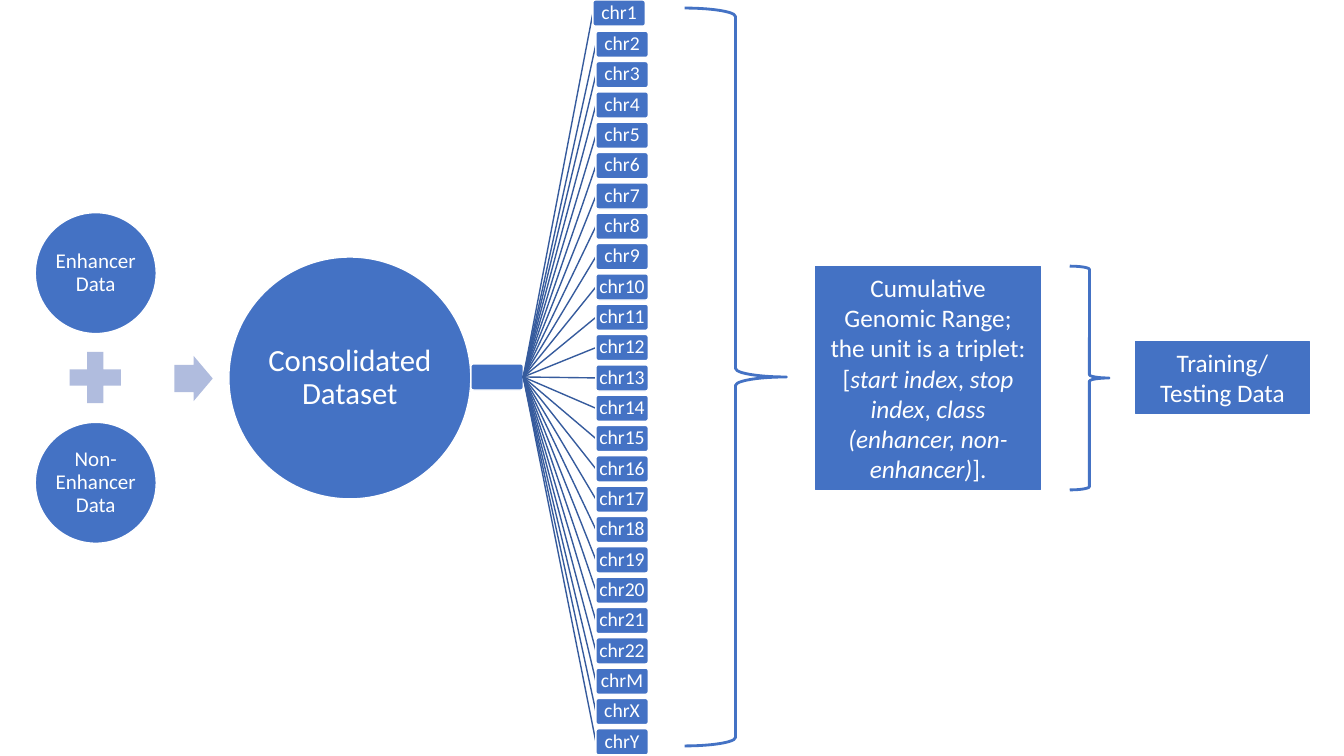
from lxml import etree
from pptx import Presentation
from pptx.dml.color import RGBColor
from pptx.enum.shapes import MSO_CONNECTOR, MSO_SHAPE
from pptx.enum.text import MSO_ANCHOR, MSO_AUTO_SIZE, PP_ALIGN
from pptx.oxml.ns import qn
from pptx.util import Inches, Pt

BLUE = RGBColor(0x44, 0x72, 0xC4)
DARK_BLUE = RGBColor(0x36, 0x5B, 0x9D)
PALE_BLUE = RGBColor(0xB0, 0xBC, 0xDE)
WHITE = RGBColor(0xFF, 0xFF, 0xFF)

OVAL = MSO_SHAPE.OVAL
PLUS = MSO_SHAPE.MATH_PLUS
ARROW = MSO_SHAPE.RIGHT_ARROW
ROUNDED = MSO_SHAPE.ROUNDED_RECTANGLE
RECT = MSO_SHAPE.RECTANGLE
BRACE = MSO_SHAPE.RIGHT_BRACE
STRAIGHT = MSO_CONNECTOR.STRAIGHT
CENTER = PP_ALIGN.CENTER
MIDDLE = MSO_ANCHOR.MIDDLE
GROW = MSO_AUTO_SIZE.SHAPE_TO_FIT_TEXT

NODE_W, NODE_H = 0.52, 0.26
CHROMOSOMES = [f"chr{name}" for name in [*range(1, 23), "M", "X", "Y"]]
SECOND_TOP, LAST_TOP = 0.31, 7.23
STEP = (LAST_TOP - SECOND_TOP) / (len(CHROMOSOMES) - 2)


def write(sp, text, size=18, inset=None, spacing=None, wrap=True):
    """Put centred text in a shape; text is a string or a list of (text, italic)."""
    tf = sp.text_frame
    tf.word_wrap = wrap
    tf.vertical_anchor = MIDDLE
    if inset is not None:
        tf.margin_left = tf.margin_right = Inches(inset)
        tf.margin_top = tf.margin_bottom = Inches(inset)
    p = tf.paragraphs[0]
    p.alignment = CENTER
    if spacing:
        p.line_spacing = spacing
    for part, italic in [(text, False)] if isinstance(text, str) else text:
        r = p.add_run()
        r.text = part
        r.font.name = "Calibri"
        r.font.size = Pt(size)
        r.font.italic = italic
        r.font.color.rgb = WHITE


class Diagram:
    def __init__(self, slide):
        self.shapes = slide.shapes

    def shape(self, kind, x, y, w, h, fill=BLUE, line=None, line_width=1, adj=()):
        sp = self.shapes.add_shape(kind, Inches(x), Inches(y), Inches(w), Inches(h))
        sp.shadow.inherit = False
        for i, value in enumerate(adj):
            sp.adjustments[i] = value
        if fill is None:
            sp.fill.background()
        else:
            sp.fill.solid()
            sp.fill.fore_color.rgb = fill
        if line is None:
            sp.line.fill.background()
        else:
            sp.line.color.rgb = line
            sp.line.width = Pt(line_width)
        return sp

    def circle(self, x, y, d, text, size, inset):
        sp = self.shape(OVAL, x, y, d, d, line=WHITE)
        write(sp, text, size=size, inset=inset, spacing=0.9)

    def node(self, x, y, text=None):
        sp = self.shape(ROUNDED, x, y, NODE_W, NODE_H, line=WHITE, adj=[0.1])
        if text:
            write(sp, text, size=14, inset=0.01, spacing=0.9, wrap=False)

    def box(self, x, y, w, h, text):
        sp = self.shape(RECT, x, y, w, h, line=BLUE, line_width=0.75)
        write(sp, text)
        sp.text_frame.auto_size = GROW

    def brace(self, x, y, w, h):
        self.shape(BRACE, x, y, w, h, fill=None, line=BLUE, line_width=2)

    def branch(self, x1, y1, x2, y2):
        c = self.shapes.add_connector(STRAIGHT, Inches(x1), Inches(y1), Inches(x2), Inches(y2))
        c.line.color.rgb = DARK_BLUE
        c.line.width = Pt(1)
        etree.SubElement(c._element.spPr, qn("a:effectLst"))


def main():
    prs = Presentation()
    prs.slide_width, prs.slide_height = Inches(13.33), Inches(7.5)
    d = Diagram(prs.slides.add_slide(prs.slide_layouts[6]))

    d.circle(0.35, 2.11, 1.2, "Enhancer Data", 15, 0.02)
    d.shape(PLUS, 0.6, 3.4, 0.69, 0.69, fill=PALE_BLUE)
    d.circle(0.35, 4.19, 1.2, "Non-Enhancer Data", 15, 0.02)
    d.shape(ARROW, 1.73, 3.53, 0.38, 0.45, fill=PALE_BLUE, adj=[0.6, 0.5])
    d.circle(2.27, 2.55, 2.4, "Consolidated Dataset", 22, 0.03)

    root_x, root_y = 4.67, 3.61
    d.node(root_x, root_y)
    for i, name in enumerate(CHROMOSOMES):
        x, y = (5.91, SECOND_TOP + (i - 1) * STEP) if i else (5.88, 0)
        d.branch(root_x + NODE_W, root_y + NODE_H / 2, x, y + NODE_H / 2)
        d.node(x, y, name)

    d.brace(6.79, 0.08, 1.01, 7.32)
    d.box(8.09, 2.64, 2.23, 2.22, [
        ("Cumulative Genomic Range; the unit is a triplet: [", False),
        ("start index", True),
        (", ", False),
        ("stop index", True),
        (", ", False),
        ("class (enhancer, non-enhancer)", True),
        ("].", False),
    ])
    d.brace(10.61, 2.64, 0.39, 2.22)
    d.box(11.26, 3.39, 1.73, 0.71, "Training/ Testing Data")

    prs.save("out.pptx")


if __name__ == "__main__":
    main()
